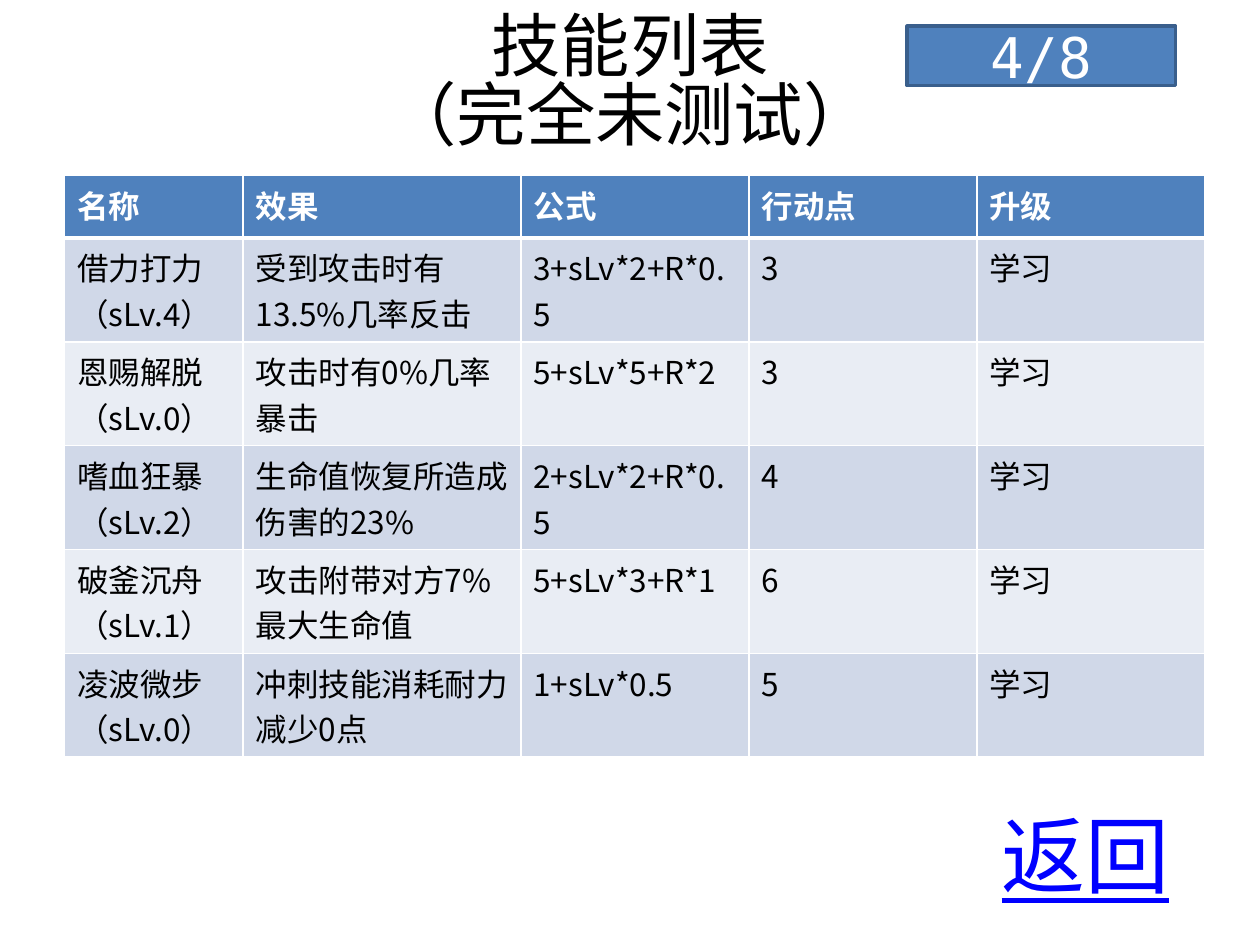
from lxml.etree import SubElement
from pptx import Presentation
from pptx.dml.color import RGBColor
from pptx.enum.shapes import MSO_SHAPE
from pptx.enum.text import MSO_ANCHOR, MSO_AUTO_SIZE, PP_ALIGN
from pptx.oxml.ns import qn
from pptx.util import Pt


def rgb(value):
    return RGBColor.from_string(value)


class SkillSlide:
    FONT = "Noto Sans CJK JP"
    MONO = "DejaVu Sans Mono"
    BLUE, BLUE_EDGE, LINK = "4F81BD", "3A5F8C", "0000FF"
    BANDS = ("D0D8E8", "E9EDF4")
    BLACK, WHITE = "000000", "FFFFFF"

    def __init__(self, prs):
        self.s = prs.slides.add_slide(prs.slide_layouts[5])

    def set_text(self, tf, text, size, color, font=FONT, bold=False,
                 underline=False, align=PP_ALIGN.LEFT, spacing=None):
        """Fill a text frame; a list gives one paragraph per item."""
        for i, line in enumerate([text] if isinstance(text, str) else text):
            p = tf.add_paragraph() if i else tf.paragraphs[0]
            p.text = line
            p.alignment = align
            p.line_spacing = spacing
            p.font.size = Pt(size)
            p.font.bold = bold
            p.font.underline = underline
            p.font.color.rgb = rgb(color)
            p.font.name = font
            # East Asian typeface
            props = p._p.pPr.find(qn("a:defRPr"))
            SubElement(props, qn("a:ea"), typeface=font)

    def title(self, text, x, y, w, h):
        sp = self.s.shapes.title
        sp.left, sp.top, sp.width, sp.height = Pt(x), Pt(y), Pt(w), Pt(h)
        tf = sp.text_frame
        tf.auto_size = MSO_AUTO_SIZE.NONE
        tf.vertical_anchor = MSO_ANCHOR.MIDDLE
        self.set_text(tf, text, 39.6, self.BLACK, align=PP_ALIGN.CENTER, spacing=0.83)

    def border(self, cell, side, width):
        ln = SubElement(cell._tc.get_or_add_tcPr(), qn("a:" + side), w=str(Pt(width)))
        SubElement(SubElement(ln, qn("a:solidFill")), qn("a:srgbClr"), val=self.WHITE)

    def table(self, rows, x, y, widths, heights):
        table = self.s.shapes.add_table(
            len(rows), len(widths), Pt(x), Pt(y),
            Pt(sum(widths)), Pt(sum(heights))).table
        for col, width in zip(table.columns, widths):
            col.width = Pt(width)
        for r, (values, height) in enumerate(zip(rows, heights)):
            table.rows[r].height = Pt(height)
            head = r == 0
            for c, value in enumerate(values):
                cell = table.cell(r, c)
                for side in ("lnL", "lnR", "lnT", "lnB"):
                    thick = (r, side) in ((0, "lnB"), (1, "lnT"))
                    self.border(cell, side, 3 if thick else 1)
                cell.fill.solid()
                cell.fill.fore_color.rgb = rgb(self.BLUE if head else self.BANDS[(r - 1) % 2])
                self.set_text(cell.text_frame, value, 18,
                              self.WHITE if head else self.BLACK, bold=head)

    def badge(self, text, x, y, w, h):
        sp = self.s.shapes.add_shape(MSO_SHAPE.RECTANGLE, Pt(x), Pt(y), Pt(w), Pt(h))
        sp.shadow.inherit = False
        sp.fill.solid()
        sp.fill.fore_color.rgb = rgb(self.BLUE)
        sp.line.color.rgb = rgb(self.BLUE_EDGE)
        sp.line.width = Pt(2)
        sp.text_frame.vertical_anchor = MSO_ANCHOR.MIDDLE
        self.set_text(sp.text_frame, text, 32, self.WHITE, self.MONO, align=PP_ALIGN.CENTER)

    def back_label(self, text, x, y, w, h):
        tf = self.s.shapes.add_textbox(Pt(x), Pt(y), Pt(w), Pt(h)).text_frame
        tf.word_wrap = False
        tf.auto_size = MSO_AUTO_SIZE.SHAPE_TO_FIT_TEXT
        self.set_text(tf, text, 48, self.LINK, underline=True)


prs = Presentation()
prs.slide_width, prs.slide_height = Pt(720), Pt(540)
slide = SkillSlide(prs)

# Heading
slide.title("技能列表\v（完全未测试）", 36, 3.6, 648, 90)

# Skills
skills = [
    ("名称", "效果", "公式", "行动点", "升级"),
    ("借力打力（sLv.4）", "受到攻击时有13.5%几率反击", "3+sLv*2+R*0.5", "3", "学习"),
    ("恩赐解脱（sLv.0）", "攻击时有0%几率暴击", "5+sLv*5+R*2", "3", "学习"),
    ("嗜血狂暴（sLv.2）", "生命值恢复所造成伤害的23%", "2+sLv*2+R*0.5", "4", "学习"),
    ("破釜沉舟（sLv.1）", "攻击附带对方7%最大生命值", "5+sLv*3+R*1", "6", "学习"),
    (["凌波微步", "（sLv.0）"], "冲刺技能消耗耐力减少0点", "1+sLv*0.5", "5", "学习"),
]
slide.table(skills, 37, 100.3, [102, 158.7] + [130.3] * 3, [35.7] + [57] * 5)

# Page badge and way back
slide.badge("4/8", 518.4, 15, 153.4, 34)
slide.back_label("返回", 565.2, 455.8, 111.6, 65.5)

prs.save("out.pptx")
